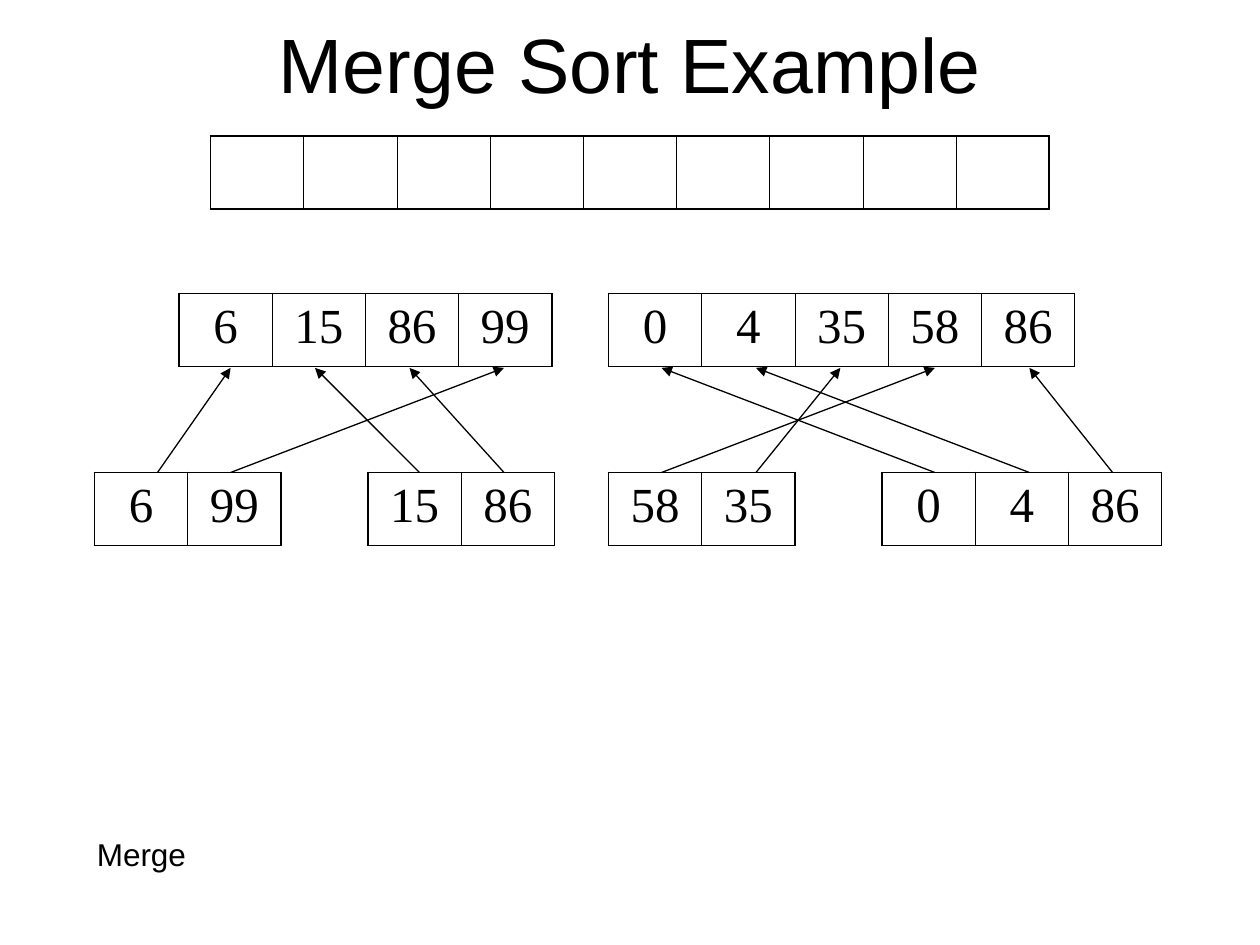
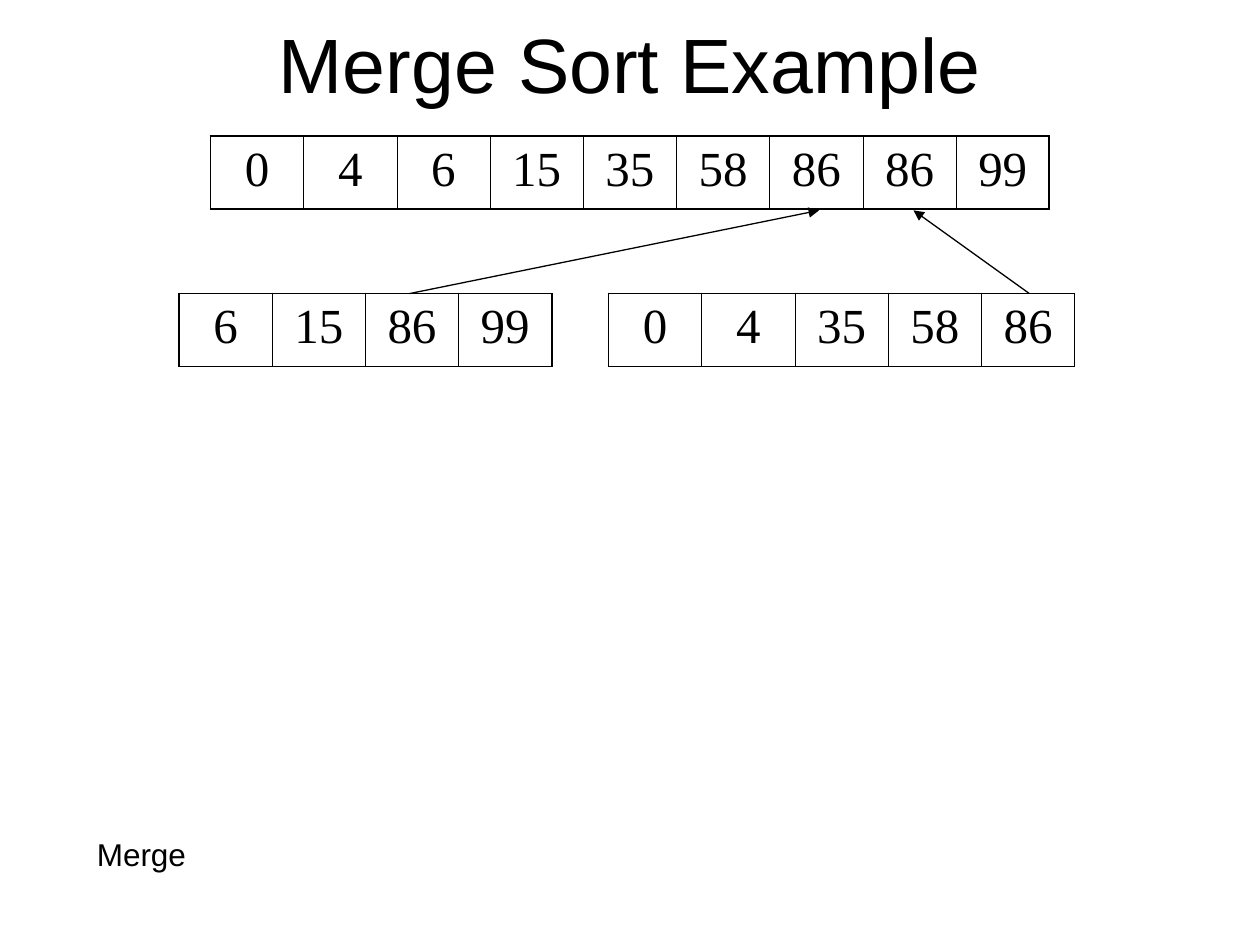
"""Builds two slides that show the merge steps of a merge sort."""
import pptx
import pptx.util
import pptx.dml.color
import pptx.enum.shapes
import pptx.enum.text
import pptx.oxml.ns
from lxml import etree

Inches = pptx.util.Inches
Pt = pptx.util.Pt
qn = pptx.oxml.ns.qn

COLORS = {"ink": "000000"}
TITLE_FONT = "Arial"
CELL_FONT = "Times New Roman"
CELL_W, CELL_H = 0.74, 0.58
OUTER, INNER = 1.08, 0.45
MERGED_Y, HALVES_Y, QUARTERS_Y = 1.08, 2.33, 3.75
MERGED_BOTTOM, HALVES_BOTTOM = 1.67, 2.92


class Deck:
    """Holds the presentation, its style and the current slide."""

    def __init__(self):
        """Start an empty presentation."""
        self.prs = pptx.Presentation()
        self.prs.slide_width, self.prs.slide_height = Inches(10), Inches(7.5)
        self.slide = None

    def style(self, p, text, font, size, align):
        """Fill and format one paragraph."""
        p.text = text
        p.alignment = align
        p.font.name = font
        p.font.size = Pt(size)
        p.font.color.rgb = pptx.dml.color.RGBColor.from_string(COLORS["ink"])

    def start(self, title):
        """Add a slide with a centred title."""
        self.slide = self.prs.slides.add_slide(self.prs.slide_layouts[5])
        sp = self.slide.shapes.title
        sp.left, sp.top, sp.width, sp.height = map(Inches, (0.75, 0, 8.5, 1))
        tf = sp.text_frame
        tf.auto_size = pptx.enum.text.MSO_AUTO_SIZE.NONE
        tf.vertical_anchor = pptx.enum.text.MSO_ANCHOR.MIDDLE
        self.style(tf.paragraphs[0], title, TITLE_FONT, 44, pptx.enum.text.PP_ALIGN.CENTER)

    def border(self, cell, side, width):
        """Draw one side of a table cell."""
        ln = etree.SubElement(cell._tc.get_or_add_tcPr(), qn(f"a:ln{side}"), w=str(Pt(width)))
        fill = etree.SubElement(ln, qn("a:solidFill"))
        etree.SubElement(fill, qn("a:srgbClr"), val=COLORS["ink"])

    def array(self, x, y, values):
        """Add an array as a one-row table."""
        n = len(values)
        table = self.slide.shapes.add_table(
            1, n, Inches(x), Inches(y), Inches(n * CELL_W), Inches(CELL_H)).table
        table.first_row = table.horz_banding = False
        for i, value in enumerate(values):
            table.columns[i].width = Inches(CELL_W)
            cell = table.cell(0, i)
            self.style(cell.text_frame.paragraphs[0], str(value), CELL_FONT, 28,
                       pptx.enum.text.PP_ALIGN.CENTER)
            self.border(cell, "L", OUTER if i == 0 else INNER)
            self.border(cell, "R", OUTER if i == n - 1 else INNER)
            self.border(cell, "T", OUTER)
            self.border(cell, "B", OUTER)
            cell.fill.background()

    def caption(self, text):
        """Name the current step at the foot of the slide."""
        sp = self.slide.shapes.add_textbox(Inches(0.67), Inches(6.58), Inches(5.08), Inches(0.4))
        tf = sp.text_frame
        tf.word_wrap = True
        self.style(tf.paragraphs[0], text, TITLE_FONT, 18, pptx.enum.text.PP_ALIGN.LEFT)

    def arrows(self, y1, y2, moves):
        """Draw an arrow for each (start x, end x) between two levels."""
        for x1, x2 in moves:
            line = self.slide.shapes.add_connector(
                pptx.enum.shapes.MSO_CONNECTOR.STRAIGHT,
                Inches(x1), Inches(y1), Inches(x2), Inches(y2))
            line.line.width = Pt(0.75)
            line.line.color.rgb = pptx.dml.color.RGBColor.from_string(COLORS["ink"])
            spPr = line._element.spPr
            etree.SubElement(spPr.find(qn("a:ln")), qn("a:tailEnd"), type="triangle")
            etree.SubElement(spPr, qn("a:effectLst"))

    def merge_slide(self, merged):
        """Add what both slides share: title, merged array, halves and caption."""
        self.start("Merge Sort Example")
        self.array(1.67, MERGED_Y, merged)
        self.array(1.42, HALVES_Y, [6, 15, 86, 99])
        self.array(4.83, HALVES_Y, [0, 4, 35, 58, 86])
        self.caption("Merge")


def main():
    """Build and save both slides."""
    deck = Deck()

    deck.merge_slide([""] * 9)
    quarters = [(2.92, [15, 86]), (0.75, [6, 99]), (4.83, [58, 35]), (7, [0, 4, 86])]
    for x, values in quarters:
        deck.array(x, QUARTERS_Y, values)
    deck.arrows(QUARTERS_Y, HALVES_BOTTOM, [
        (1.25, 1.83), (3.33, 2.5), (1.83, 4), (4, 3.25), (5.25, 7.42),
        (7.42, 5.25), (8.17, 6), (6, 6.67), (8.83, 8.17)])

    deck.merge_slide([0, 4, 6, 15, 35, 58, 86, 86, 99])
    deck.arrows(HALVES_Y, MERGED_BOTTOM, [(3.25, 6.5), (8.17, 7.25)])

    deck.prs.save("out.pptx")


if __name__ == "__main__":
    main()
